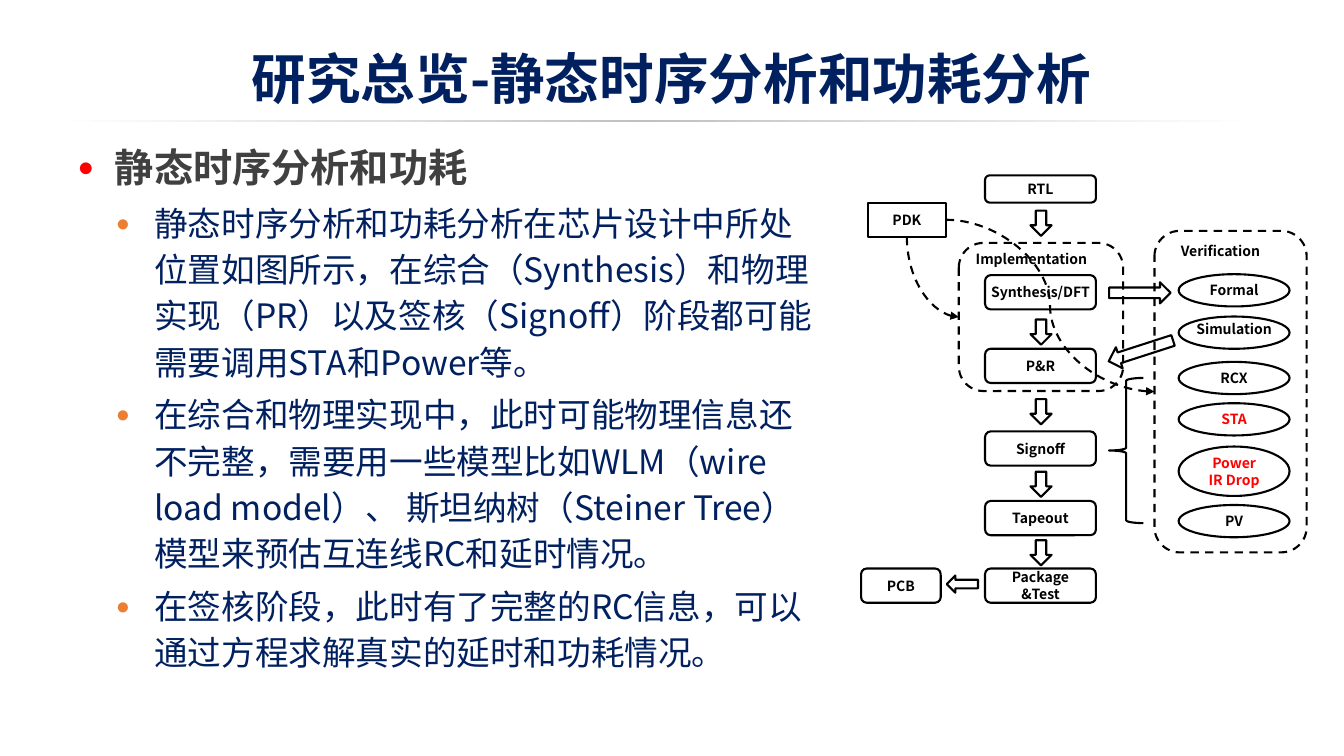
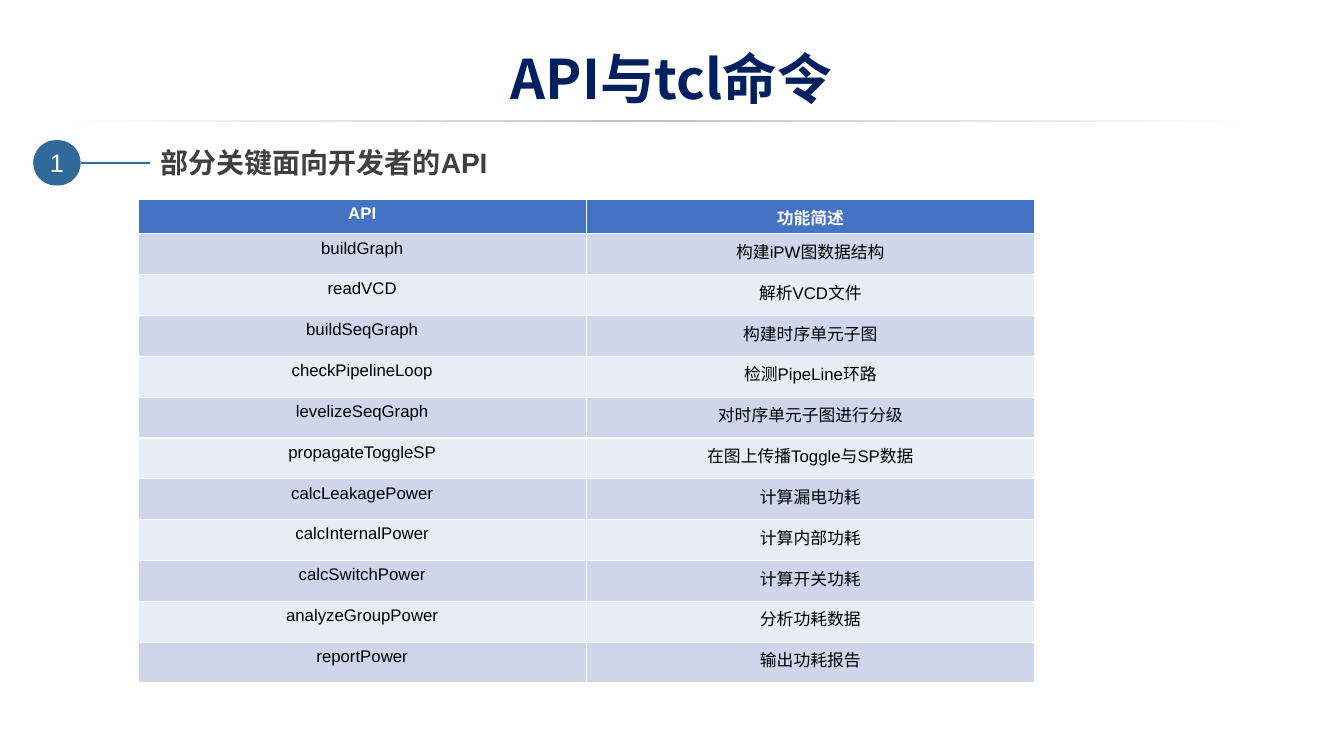
from lxml.etree import SubElement
from pptx import Presentation
from pptx.dml.color import RGBColor
from pptx.enum.dml import MSO_LINE
from pptx.enum.shapes import MSO_CONNECTOR, MSO_SHAPE
from pptx.enum.text import MSO_ANCHOR, MSO_AUTO_SIZE, PP_ALIGN
from pptx.oxml.ns import qn
from pptx.util import Inches, Pt

COLORS = {
    "navy": "002060", "gray": "404040", "black": "000000", "white": "FFFFFF",
    "red": "FF0000", "orange": "ED7D31", "steel": "306A9B", "header": "4472C4",
    "band": "CFD5EA", "band_light": "E9EBF5", "rule": "C0C0C0", "rule_light": "E0E0E0",
}
CJK = "Noto Sans CJK SC"
LATIN = "Arial"

RESEARCH_POINTS = [
    "静态时序分析和功耗分析在芯片设计中所处位置如图所示，在综合（Synthesis）和物理实现（PR）"
    "以及签核（Signoff）阶段都可能需要调用STA和Power等。",
    "在综合和物理实现中，此时可能物理信息还不完整，需要用一些模型比如WLM（wire load model）、 "
    "斯坦纳树（Steiner Tree）模型来预估互连线RC和延时情况。",
    "在签核阶段，此时有了完整的RC信息，可以通过方程求解真实的延时和功耗情况。",
]
API_ROWS = [
    ("API", "功能简述"),
    ("buildGraph", "构建iPW图数据结构"),
    ("readVCD", "解析VCD文件"),
    ("buildSeqGraph", "构建时序单元子图"),
    ("checkPipelineLoop", "检测PipeLine环路"),
    ("levelizeSeqGraph", "对时序单元子图进行分级"),
    ("propagateToggleSP", "在图上传播Toggle与SP数据"),
    ("calcLeakagePower", "计算漏电功耗"),
    ("calcInternalPower", "计算内部功耗"),
    ("calcSwitchPower", "计算开关功耗"),
    ("analyzeGroupPower", "分析功耗数据"),
    ("reportPower", "输出功耗报告"),
]


def rgb(name):
    return RGBColor.from_string(COLORS[name])


def inches(*lengths):
    return [Inches(length) for length in lengths]


def add_run(paragraph, text, size, color, font=CJK, bold=False):
    run = paragraph.add_run()
    run.text = text
    run.font.size = Pt(size)
    run.font.bold = bold
    run.font.color.rgb = rgb(color)
    run.font.name = font
    SubElement(run._r.get_or_add_rPr(), qn("a:ea"), typeface=CJK)


def write(frame, text, align=PP_ALIGN.CENTER, leading=None, **style):
    for index, line in enumerate(text.split("\n")):
        paragraph = frame.add_paragraph() if index else frame.paragraphs[0]
        paragraph.alignment = align
        if leading:
            paragraph.line_spacing = Pt(leading)
        add_run(paragraph, line, **style)


def set_bullet(paragraph, color, margin, hanging):
    properties = paragraph._p.get_or_add_pPr()
    properties.set("marL", str(Inches(margin)))
    properties.set("indent", str(-Inches(hanging)))
    SubElement(SubElement(properties, qn("a:buClr")), qn("a:srgbClr"), val=COLORS[color])
    SubElement(properties, qn("a:buSzPct"), val="70000")
    SubElement(properties, qn("a:buFont"), typeface=LATIN)
    SubElement(properties, qn("a:buChar"), char="●")


def place(shape, box):
    shape.left, shape.top, shape.width, shape.height = inches(*box)


def add_heading(slide, text, box):
    left, top, width, height = box
    title = slide.shapes.title
    place(title, box)
    title.text_frame.auto_size = MSO_AUTO_SIZE.NONE
    title.text_frame.vertical_anchor = MSO_ANCHOR.BOTTOM
    write(title.text_frame, text, size=39, color="navy", bold=True)

    rule = slide.shapes.add_shape(
        MSO_SHAPE.RECTANGLE, *inches(left - 0.15, top + height + 0.04, width, 0.02))
    rule.shadow.inherit = False
    rule.line.fill.background()
    rule.fill.gradient()
    rule.fill.gradient_angle = 0
    stops = rule._element.spPr.find(qn("a:gradFill")).find(qn("a:gsLst"))
    stops.clear()
    for position, color in [(0, "white"), (27, "rule_light"), (49, "rule"),
                            (73, "rule_light"), (100, "white")]:
        stop = SubElement(stops, qn("a:gs"), pos=str(position * 1000))
        SubElement(stop, qn("a:srgbClr"), val=COLORS[color])


def add_points(slide, heading, points, box):
    body = slide.placeholders[1]
    place(body, box)
    frame = body.text_frame
    frame.auto_size = MSO_AUTO_SIZE.NONE
    write(frame, heading, align=PP_ALIGN.LEFT, leading=38, size=28, color="gray", bold=True)
    frame.paragraphs[0].space_before = Pt(0)
    set_bullet(frame.paragraphs[0], "red", 0.37, 0.37)
    for point in points:
        paragraph = frame.add_paragraph()
        paragraph.level = 1
        paragraph.line_spacing = Pt(33)
        paragraph.space_before = Pt(4.8)
        set_bullet(paragraph, "orange", 0.76, 0.38)
        add_run(paragraph, point, size=24, color="navy")


def outline(slide, kind, box, dashed=False):
    shape = slide.shapes.add_shape(kind, *inches(*box))
    shape.shadow.inherit = False
    shape.fill.background()
    shape.line.color.rgb = rgb("black")
    shape.line.width = Pt(1.5)
    if dashed:
        shape.line.dash_style = MSO_LINE.DASH
    return shape


def add_node(slide, kind, box, label, color="black", margins=(0, 0, 0, 0),
             anchor=MSO_ANCHOR.MIDDLE, wrap=False, dashed=False):
    node = outline(slide, kind, box, dashed)
    frame = node.text_frame
    frame.word_wrap = wrap
    frame.vertical_anchor = anchor
    (frame.margin_left, frame.margin_top,
     frame.margin_right, frame.margin_bottom) = inches(*margins)
    write(frame, label, leading=12, size=10, color=color, bold=True)
    return node


def connect(slide, kind, start, start_site, end, end_site, color):
    connector = slide.shapes.add_connector(kind, 0, 0, 0, 0)
    connector.begin_connect(start, start_site)
    connector.end_connect(end, end_site)
    connector.line.color.rgb = rgb(color)
    connector.line.width = Pt(1.5)
    SubElement(connector._element.spPr, qn("a:effectLst"))
    return connector


def add_dashed_curve(slide, start, start_site, end, end_site):
    curve = connect(slide, MSO_CONNECTOR.CURVE, start, start_site, end, end_site, "black")
    curve.line.dash_style = MSO_LINE.DASH
    SubElement(curve.line._get_or_add_ln(), qn("a:tailEnd"), type="triangle")
    return curve


def bend_down_then_right(curve):
    left, top, width, height = curve.left, curve.top, curve.width, curve.height
    curve.left = left + (width - height) // 2
    curve.top = top + (height - width) // 2
    curve.width, curve.height = height, width
    properties = curve._element.spPr
    properties.find(qn("a:prstGeom")).set("prst", "curvedConnector2")
    transform = properties.find(qn("a:xfrm"))
    transform.set("rot", "16200000")
    transform.set("flipH", "1")


def add_design_flow(slide, box):
    left, top, _, _ = box

    def at(x, y, width, height):
        return left + x, top + y, width, height

    rounded = MSO_SHAPE.ROUNDED_RECTANGLE
    stage_x, stage_width, stage_height = 1.23, 1.1, 0.34
    add_node(slide, rounded, at(stage_x, 0, stage_width, 0.27), "RTL")
    for label, y in [("Synthesis/DFT", 0.99), ("P&R", 1.72), ("Signoff", 2.54),
                     ("Tapeout", 3.23)]:
        add_node(slide, rounded, at(stage_x, y, stage_width, stage_height), label)
    add_node(slide, rounded, at(stage_x, 3.9, stage_width, stage_height), "Package &Test",
             margins=(0.15, 0, 0.15, 0), wrap=True)
    add_node(slide, rounded, at(0, 3.9, 0.79, stage_height), "PCB")
    for y in (0.35, 1.43, 2.22, 2.94, 3.62):
        outline(slide, MSO_SHAPE.DOWN_ARROW,
                at(stage_x + stage_width / 2 - 0.1, y, 0.21, 0.25))
    outline(slide, MSO_SHAPE.LEFT_ARROW, at(0.85, 3.97, 0.31, 0.17))

    implementation = add_node(
        slide, rounded, at(0.97, 0.67, 1.63, 1.47), "Implementation",
        margins=(0, 0, 0.19, 0), anchor=MSO_ANCHOR.TOP, wrap=True, dashed=True)
    verification = add_node(
        slide, rounded, at(2.91, 0.55, 1.51, 3.19), "Verification",
        margins=(0, 0.04, 0.2, 0), anchor=MSO_ANCHOR.TOP, wrap=True, dashed=True)
    for label, y, height, color, lift in [
            ("Formal", 0.98, 0.32, "black", 0), ("Simulation", 1.4, 0.32, "black", 0.08),
            ("RCX", 1.85, 0.32, "black", 0), ("STA", 2.26, 0.32, "red", 0),
            ("Power\nIR Drop", 2.69, 0.49, "red", 0), ("PV", 3.27, 0.32, "black", 0)]:
        add_node(slide, MSO_SHAPE.OVAL, at(3.15, y, 1.1, height), label, color=color,
                 margins=(0, 0, 0, lift))

    outline(slide, MSO_SHAPE.LEFT_BRACE, at(2.46, 2.01, 0.34, 1.44))
    outline(slide, MSO_SHAPE.RIGHT_ARROW, at(2.46, 1.06, 0.61, 0.21))
    feedback = outline(slide, MSO_SHAPE.RIGHT_ARROW, at(2.44, 1.63, 0.67, 0.22))
    feedback.rotation = 162.1

    pdk = add_node(slide, MSO_SHAPE.RECTANGLE, at(0.07, 0.27, 0.77, 0.34), "PDK")
    add_dashed_curve(slide, pdk, 3, verification, 1)
    bend_down_then_right(add_dashed_curve(slide, pdk, 2, implementation, 1))


def add_section_label(slide, number, text, box):
    left, top, width, height = box
    badge = slide.shapes.add_shape(
        MSO_SHAPE.ROUNDED_RECTANGLE, *inches(left, top, 0.47, height))
    badge.adjustments[0] = 0.5
    badge.shadow.inherit = False
    badge.fill.solid()
    badge.fill.fore_color.rgb = rgb("steel")
    badge.line.fill.background()
    badge.text_frame.vertical_anchor = MSO_ANCHOR.MIDDLE
    badge.text_frame.word_wrap = False
    write(badge.text_frame, number, size=18, color="white", font=LATIN)

    caption = slide.shapes.add_textbox(*inches(left + 1.16, top, width - 1.16, height))
    caption.text_frame.word_wrap = True
    write(caption.text_frame, text, align=PP_ALIGN.LEFT, size=20, color="gray",
          font=LATIN, bold=True)
    connect(slide, MSO_CONNECTOR.STRAIGHT, caption, 1, badge, 3, "steel")


def add_api_table(slide, rows, box):
    header_height = 0.34
    row_height = (box[3] - header_height) / (len(rows) - 1)
    table = slide.shapes.add_table(len(rows), len(rows[0]), *inches(*box)).table
    for index, row in enumerate(rows):
        is_header = index == 0
        table.rows[index].height = Inches(header_height if is_header else row_height)
        fill = "header" if is_header else ("band_light", "band")[index % 2]
        for column, text in enumerate(row):
            cell = table.cell(index, column)
            cell.fill.solid()
            cell.fill.fore_color.rgb = rgb(fill)
            write(cell.text_frame, text, size=12, font=LATIN, bold=is_header,
                  color="white" if is_header else "black")


def add_titled_slide(deck, layout, title):
    slide = deck.slides.add_slide(deck.slide_layouts[layout])
    add_heading(slide, title, (0.67, 0.13, 11.98, 1.02))
    return slide


def main():
    deck = Presentation()
    deck.slide_width, deck.slide_height = inches(13.33, 7.5)

    overview = add_titled_slide(deck, 1, "研究总览-静态时序分析和功耗分析")
    add_points(overview, "静态时序分析和功耗", RESEARCH_POINTS, (0.67, 1.31, 7.55, 5.4))
    add_design_flow(overview, (8.54, 1.74, 4.42, 4.24))

    commands = add_titled_slide(deck, 5, "API与tcl命令")
    add_section_label(commands, "1", "部分关键面向开发者的API", (0.33, 1.39, 4.86, 0.45))
    add_api_table(commands, API_ROWS, (1.37, 1.98, 8.89, 4.8))

    deck.save("out.pptx")


if __name__ == "__main__":
    main()
